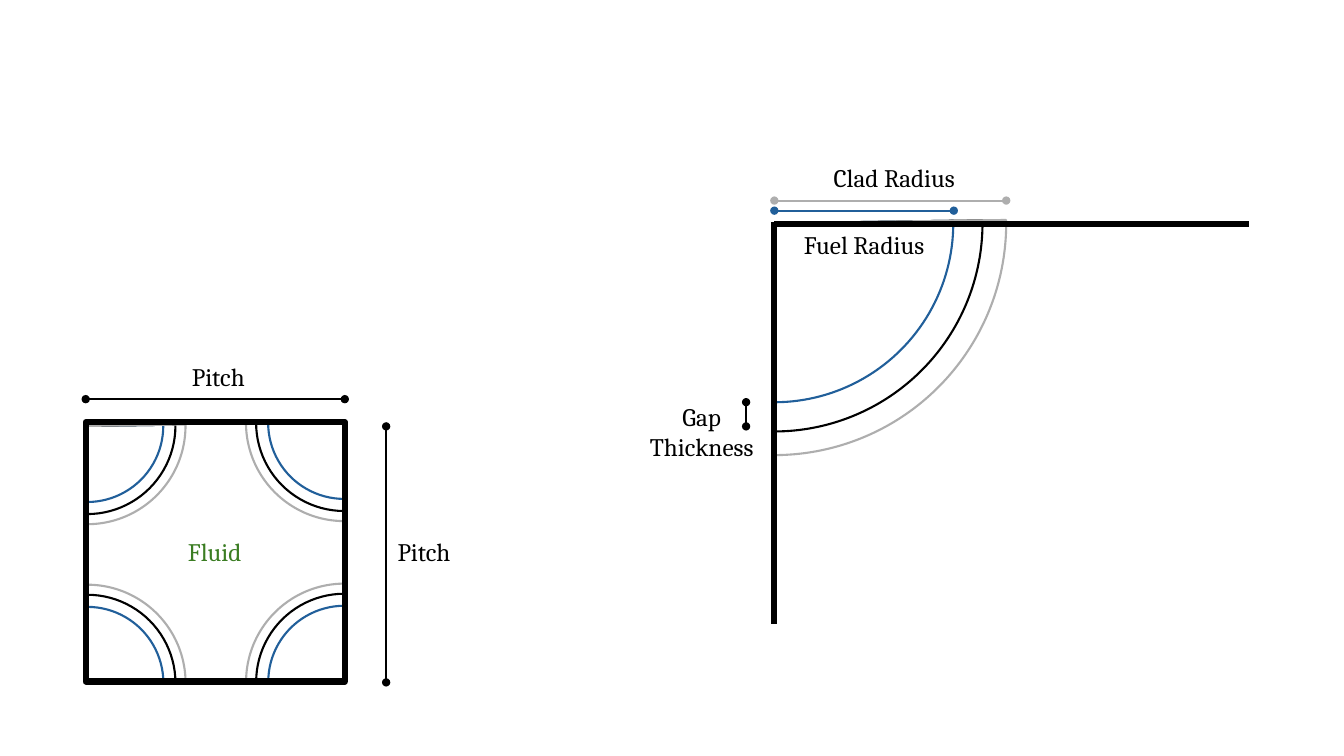
"""Draw a fuel pin cell and an enlarged view of its corner, with dimensions."""
from lxml.etree import SubElement
from pptx import Presentation
from pptx.dml.color import RGBColor
from pptx.enum.shapes import MSO_CONNECTOR, MSO_SHAPE
from pptx.enum.text import MSO_AUTO_SIZE, PP_ALIGN
from pptx.oxml.ns import qn
from pptx.util import Inches, Pt

THEME = {
    "font": "Cambria", "size": 18, "thin": 1.5, "thick": 4.5,
    "fuel": "215F9A", "gap": "000000", "clad": "AEAEAE",
    "ink": "000000", "fluid": "3B7D23",
}
LAYERS = ("fuel", "gap", "clad")
CELL_DIAMETERS = (1.51, 1.75, 1.95)
DETAIL_DIAMETERS = (3.55, 4.13, 4.6)
QUARTER = (53.51, 108)

# Each pin: centre x, centre y, rotation, diameters of the layers
PINS = [
    (3.415, 4.195, 0, CELL_DIAMETERS),
    (3.415, 6.765, 90, CELL_DIAMETERS),
    (0.865, 6.775, 180, CELL_DIAMETERS),
    (0.865, 4.225, 270, CELL_DIAMETERS),
    (7.68, 2.215, 270, DETAIL_DIAMETERS),
]
CELL = (0.85, 4.19, 2.57, 2.57)
WALLS = [((7.68, 2.22), (12.39, 2.22)), ((7.68, 2.2), (7.68, 6.19))]
DIMENSIONS = [
    ((3.83, 4.23), (3.83, 6.77), "ink"),
    ((3.42, 3.96), (0.85, 3.96), "ink"),
    ((9.46, 2.09), (7.68, 2.09), "fuel"),
    ((9.98, 1.99), (7.68, 1.99), "clad"),
    ((7.4, 3.99), (7.4, 4.23), "ink"),
]
LABELS = [
    ("Pitch", (3.83, 5.27, 0.75, 0.4), "ink", False),
    ("Pitch", (1.79, 3.54, 0.75, 0.4), "ink", False),
    ("Fuel Radius", (7.84, 2.23, 1.46, 0.4), "ink", True),
    ("Clad Radius", (8.14, 1.56, 1.46, 0.4), "ink", True),
    ("Gap Thickness", (6.23, 3.93, 1.46, 0.71), "ink", True),
    ("Fluid", (1.75, 5.27, 0.76, 0.4), "fluid", False),
]


def color(name):
    """Return a theme colour."""
    return RGBColor.from_string(THEME[name])


def add_outline(shapes, preset, frame, ink, weight):
    """Add an unfilled preset shape."""
    shape = shapes.add_shape(preset, *map(Inches, frame))
    shape.shadow.inherit = False
    shape.fill.background()
    shape.line.color.rgb = color(ink)
    shape.line.width = Pt(THEME[weight])
    return shape


def add_pin(page, x, y, rotation, diameters):
    """Add the grouped concentric quarter circles of one pin."""
    group = page.shapes.add_group_shape()
    for layer, size in zip(LAYERS, diameters):
        frame = (x - size / 2, y - size / 2, size, size)
        pie = add_outline(group.shapes, MSO_SHAPE.PIE, frame, layer, "thin")
        pie.adjustments[0], pie.adjustments[1] = QUARTER
        pie.rotation = rotation


def add_line(page, start, end, ink, weight, dots=False):
    """Add a straight line, with round ends if it is a dimension."""
    line = page.shapes.add_connector(
        MSO_CONNECTOR.STRAIGHT, *map(Inches, start + end))
    line.line.color.rgb = color(ink)
    line.line.width = Pt(THEME[weight])
    properties = line._element.spPr
    if dots:
        for tag in ("a:headEnd", "a:tailEnd"):
            SubElement(properties.find(qn("a:ln")), qn(tag), type="oval")
    SubElement(properties, qn("a:effectLst"))


def add_label(page, text, frame, ink, wrap):
    """Add a centred text label."""
    box = page.shapes.add_textbox(*map(Inches, frame))
    box.text_frame.text = text
    box.text_frame.word_wrap = wrap
    box.text_frame.auto_size = MSO_AUTO_SIZE.SHAPE_TO_FIT_TEXT
    para = box.text_frame.paragraphs[0]
    para.alignment = PP_ALIGN.CENTER
    font = para.runs[0].font
    font.name, font.size = THEME["font"], Pt(THEME["size"])
    font.color.rgb = color(ink)


def main():
    """Build and save the slide."""
    deck = Presentation()
    deck.slide_width, deck.slide_height = Inches(13.33), Inches(7.5)
    page = deck.slides.add_slide(deck.slide_layouts[6])
    for pin in PINS:
        add_pin(page, *pin)
    add_outline(page.shapes, MSO_SHAPE.RECTANGLE, CELL, "ink", "thick")
    for start, end in WALLS:
        add_line(page, start, end, "ink", "thick")
    for start, end, ink in DIMENSIONS:
        add_line(page, start, end, ink, "thin", dots=True)
    for label in LABELS:
        add_label(page, *label)
    deck.save("out.pptx")


if __name__ == "__main__":
    main()
